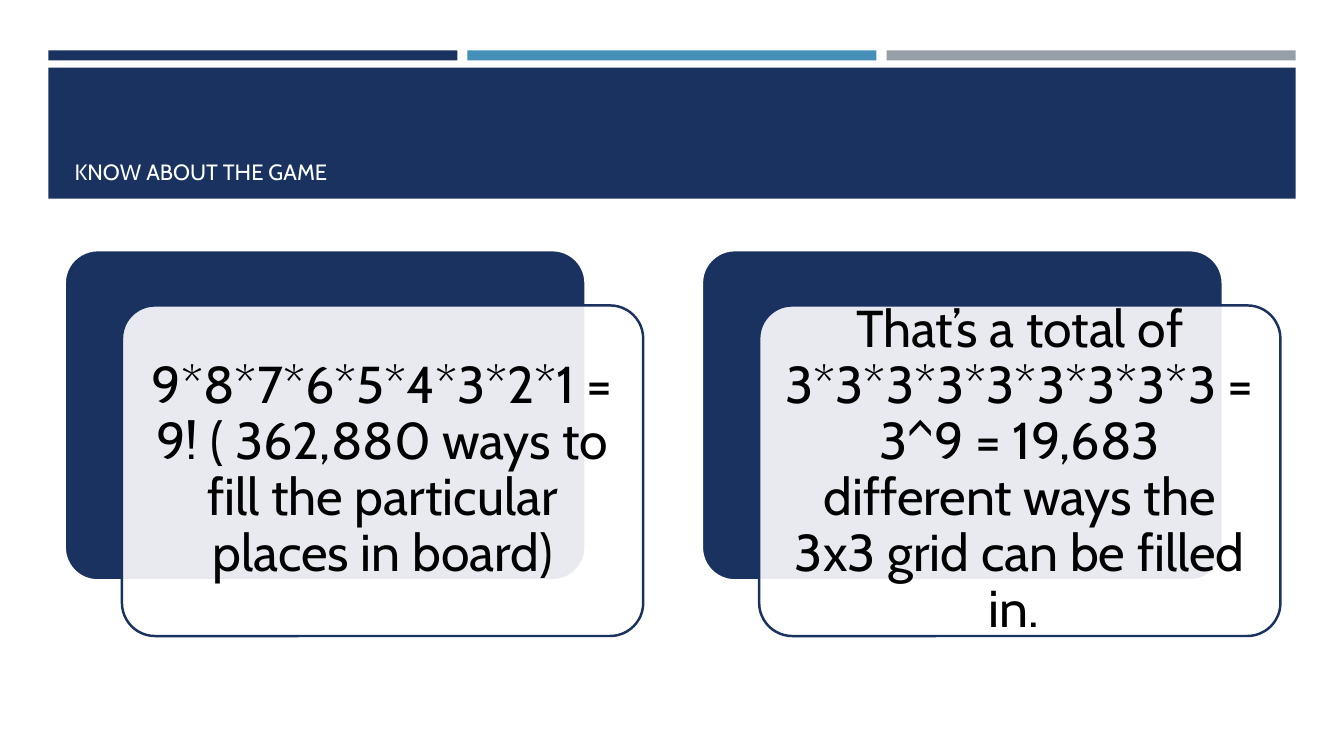
import pptx
import pptx.util
import pptx.dml.color
import pptx.enum.shapes
import pptx.enum.text
import pptx.oxml
import pptx.oxml.ns

Inches, Pt = pptx.util.Inches, pptx.util.Pt
SHAPE = pptx.enum.shapes.MSO_SHAPE
ANCHOR = pptx.enum.text.MSO_ANCHOR
ALIGN = pptx.enum.text.PP_ALIGN

FONT = "Cabin"
NAVY, BLUE, GRAY, WHITE, BLACK = "1A3260", "4590B8", "969FA7", "FFFFFF", "000000"


def paint(color_format, hex_color):
    color_format.rgb = pptx.dml.color.RGBColor.from_string(hex_color)


def add_box(s, kind, box, fill, line=None, line_width=0):
    sp = s.shapes.add_shape(kind, *map(Inches, box))
    sp.shadow.inherit = False
    sp.fill.solid()
    paint(sp.fill.fore_color, fill)
    if line:
        paint(sp.line.color, line)
        sp.line.width = Pt(line_width)
    else:
        sp.line.fill.background()
    return sp


def set_opacity(sp, percent):
    color = sp.fill._xPr.find(".//" + pptx.oxml.ns.qn("a:srgbClr"))
    alpha = pptx.oxml.parse_xml(
        "<a:alpha %s val='%d'/>" % (pptx.oxml.ns.nsdecls("a"), percent * 1000))
    color.append(alpha)


def write(tf, text, size, color, align, anchor):
    tf.text = text
    tf.word_wrap = True
    tf.auto_size = pptx.enum.text.MSO_AUTO_SIZE.NONE
    tf.vertical_anchor = anchor
    p = tf.paragraphs[0]
    p.alignment = align
    font = p.runs[0].font
    font.name, font.size = FONT, Pt(size)
    paint(font.color, color)
    return p


def add_header(s, box, text):
    left, top, width, height = box
    # Three stripes across the top
    gap, stripe_h = 0.1, 0.1
    stripe_w = (width - 2 * gap) / 3
    for i, color in enumerate((NAVY, BLUE, GRAY)):
        x = left + i * (stripe_w + gap)
        add_box(s, SHAPE.RECTANGLE, (x, top, stripe_w, stripe_h), color)
    # Title band
    band_top = top + 0.17
    band_h = height - 0.17
    add_box(s, SHAPE.RECTANGLE, (left, band_top, width, band_h), NAVY)
    # Title, brought in front of the band
    title = s.shapes.title
    title.left, title.top = Inches(left + 0.16), Inches(band_top + 0.1)
    title.width, title.height = Inches(width - 0.31), Inches(band_h - 0.19)
    write(title.text_frame, text, 15.8, WHITE, ALIGN.LEFT, ANCHOR.BOTTOM)
    s.shapes._spTree.append(title.element)


def add_card(s, box, text):
    left, top, width, height = box
    dx, dy = 0.57, 0.55
    size = (width - dx, height - dy)
    # Solid card behind
    back = add_box(s, SHAPE.ROUNDED_RECTANGLE, (left, top, *size), NAVY, WHITE, 2)
    # Translucent card in front, holding the text
    front = add_box(s, SHAPE.ROUNDED_RECTANGLE, (left + dx, top + dy, *size),
                    WHITE, NAVY, 1.75)
    set_opacity(front, 90)
    for sp in (back, front):
        sp.adjustments[0] = 0.1
    tf = front.text_frame
    tf.margin_left = tf.margin_right = Inches(0.15)
    tf.margin_top = tf.margin_bottom = Inches(0.15)
    p = write(tf, text, 37, BLACK, ALIGN.CENTER, ANCHOR.MIDDLE)
    p.line_spacing = 0.9


def main():
    prs = pptx.Presentation()
    prs.slide_width, prs.slide_height = Inches(13.33), Inches(7.5)
    s = prs.slides.add_slide(prs.slide_layouts[5])

    add_header(s, (0.48, 0.5, 12.37, 1.47), "KNOW ABOUT THE GAME")

    facts = (
        "9*8*7*6*5*4*3*2*1 = 9! ( 362,880 ways to fill the particular places in board)",
        "That’s a total of 3*3*3*3*3*3*3*3*3 = 3^9 = 19,683 different ways "
        "the 3x3 grid can be filled in. ",
    )
    for i, fact in enumerate(facts):
        add_card(s, (0.64 + i * 6.32, 2.48, 5.74, 3.83), fact)

    prs.save("out.pptx")


if __name__ == "__main__":
    main()
